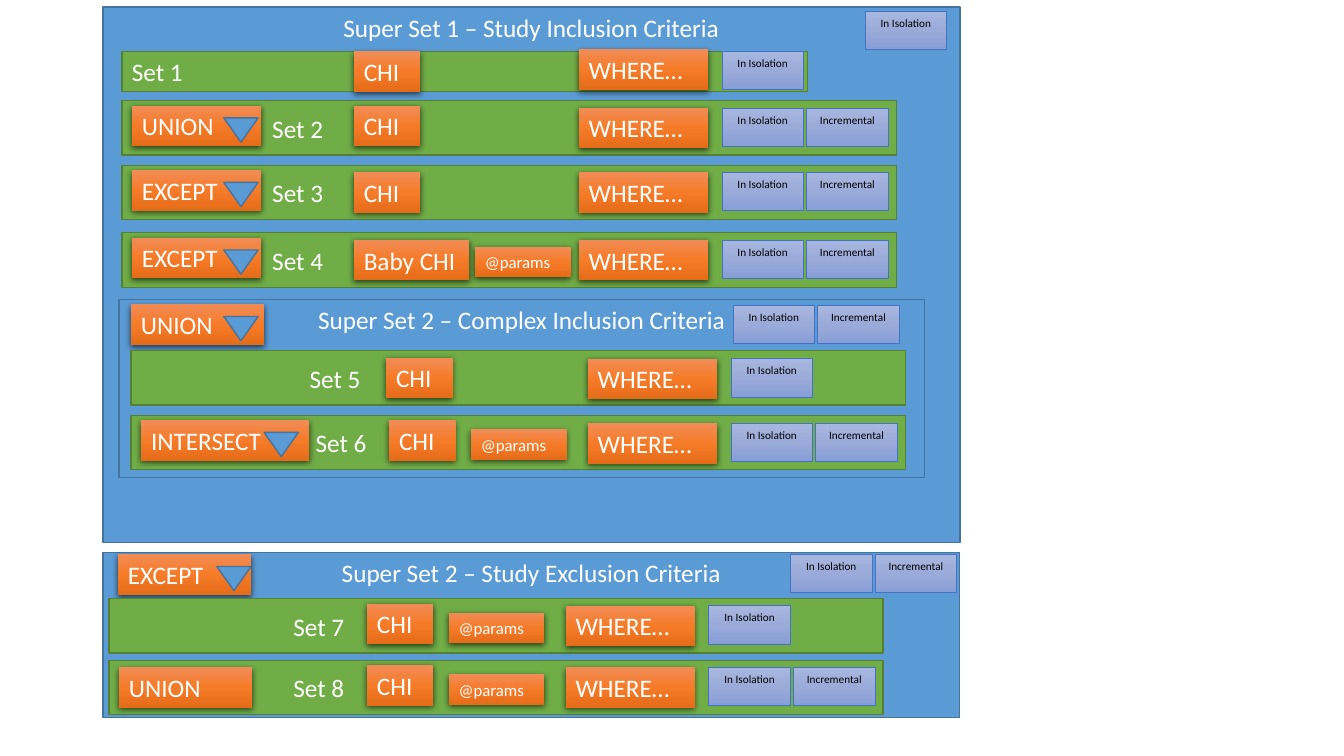
from copy import deepcopy
from dataclasses import dataclass

from lxml.etree import SubElement
from pptx import Presentation
from pptx.dml.color import RGBColor
from pptx.enum.shapes import MSO_SHAPE
from pptx.enum.text import MSO_ANCHOR, MSO_AUTO_SIZE, PP_ALIGN
from pptx.oxml.ns import qn
from pptx.util import Inches, Pt


@dataclass(frozen=True)
class Theme:
    font: str = "Calibri"
    body: int = 18
    param: int = 12
    small: int = 8
    white: str = "FFFFFF"
    black: str = "000000"
    blue: str = "5B9BD5"
    blue_line: str = "43739E"
    green: str = "70AD47"
    green_line: str = "538035"
    button_line: str = "4472C4"
    orange_stops: tuple = ("F18C57", "F67B28", "E56C19")
    button_stops: tuple = ("A8B7DF", "9AABD9", "889ED7")


@dataclass
class SetRow:
    name: str
    x: float
    y: float
    indent: float              # left inset of the set name
    op: str = ""
    op_w: float = 1.28
    op_dy: float = 0.05
    arrow: float = 0.91        # offset of the drop-down arrow, 0 for none
    source: str = "CHI"
    source_w: float = 0.66
    source_dx: float = 2.56
    source_dy: float = 0.05
    params_dx: float = 0       # 0 for no parameters
    where_dy: float = 0.07
    button_dy: float = 0.07
    incremental: bool = True
    w: float = 7.68
    h: float = 0.54


class SlideBuilder:
    def __init__(self, prs, theme):
        self.t = theme
        self.s = prs.slides.add_slide(prs.slide_layouts[5])

    # Shared formatting
    def shape(self, kind, x, y, w, h):
        sp = self.s.shapes.add_shape(kind, Inches(x), Inches(y), Inches(w), Inches(h))
        sp.shadow.inherit = False
        return sp

    def paint(self, sp, fill, line, width=1):
        if isinstance(fill, str):
            sp.fill.solid()
            sp.fill.fore_color.rgb = RGBColor.from_string(fill)
        else:
            sp.fill.gradient()
            sp.fill.gradient_angle = 270
            stops = sp._element.spPr.find(qn("a:gradFill")).find(qn("a:gsLst"))
            middle = deepcopy(stops[0])
            middle.set("pos", "50000")
            stops.insert(1, middle)
            for stop, color in zip(sp.fill.gradient_stops, fill):
                stop.color.rgb = RGBColor.from_string(color)
        if line:
            sp.line.color.rgb = RGBColor.from_string(line)
            sp.line.width = Pt(width)
        else:
            sp.line.fill.background()

    def label(self, sp, text, size, color, align=PP_ALIGN.LEFT, anchor=MSO_ANCHOR.TOP):
        tf = sp.text_frame
        tf.text = text
        tf.word_wrap = True
        tf.auto_size = MSO_AUTO_SIZE.NONE
        tf.vertical_anchor = anchor
        p = tf.paragraphs[0]
        p.alignment = align
        p.line_spacing = 1.0
        p.space_before = Pt(0)
        r = p.runs[0]
        r.font.name = self.t.font
        r.font.size = Pt(size)
        r.font.color.rgb = RGBColor.from_string(color)
        return tf

    # Elements
    def panel(self, text, x, y, w, h, is_title=False):
        if is_title:
            sp = self.s.shapes.title
            sp.left, sp.top, sp.width, sp.height = map(Inches, (x, y, w, h))
        else:
            sp = self.shape(MSO_SHAPE.RECTANGLE, x, y, w, h)
        self.paint(sp, self.t.blue, self.t.blue_line)
        self.label(sp, text, self.t.body, self.t.white, PP_ALIGN.CENTER)

    def chip(self, text, x, y, w, h=0.4, size=None):
        sp = self.shape(MSO_SHAPE.RECTANGLE, x, y, w, h)
        self.paint(sp, self.t.orange_stops, None)
        tf = self.label(sp, text, size or self.t.body, self.t.white)
        tf.auto_size = MSO_AUTO_SIZE.SHAPE_TO_FIT_TEXT
        effects = sp._element.spPr.find(qn("a:effectLst"))
        shadow = SubElement(effects, qn("a:outerShdw"), blurRad=str(Pt(4.5)),
                            dist=str(Pt(1.5)), dir="5400000", algn="ctr", rotWithShape="0")
        color = SubElement(shadow, qn("a:srgbClr"), val=self.t.black)
        SubElement(color, qn("a:alpha"), val="63000")

    def operator(self, text, x, y, w=1.32, arrow=0.92):
        self.chip(text, x, y, w)
        if arrow:
            sp = self.shape(MSO_SHAPE.ISOSCELES_TRIANGLE, x + arrow, y + 0.12, 0.34, 0.24)
            sp.rotation = 180
            self.paint(sp, self.t.blue, self.t.blue_line)

    def buttons(self, x, y, incremental=True):
        captions = ["In Isolation", "Incremental"] if incremental else ["In Isolation"]
        for i, caption in enumerate(captions):
            sp = self.shape(MSO_SHAPE.RECTANGLE, x + 0.84 * i, y, 0.81, 0.38)
            self.paint(sp, self.t.button_stops, self.t.button_line, 0.5)
            self.label(sp, caption, self.t.small, self.t.black, PP_ALIGN.CENTER)

    def set_row(self, row):
        sp = self.shape(MSO_SHAPE.RECTANGLE, row.x, row.y, row.w, row.h)
        self.paint(sp, self.t.green, self.t.green_line)
        tf = self.label(sp, row.name, self.t.body, self.t.white, anchor=MSO_ANCHOR.MIDDLE)
        tf.margin_left = Inches(row.indent)
        self.buttons(row.x + 5.95, row.y + row.button_dy, row.incremental)
        if row.op:
            self.operator(row.op, row.x + 0.1, row.y + row.op_dy, row.op_w, row.arrow)
        self.chip("WHERE…", row.x + 4.53, row.y + row.where_dy, 1.28)
        self.chip(row.source, row.x + row.source_dx, row.y + row.source_dy, row.source_w)
        if row.params_dx:
            self.chip("@params", row.x + row.params_dx, row.y + 0.14, 0.95, 0.3, self.t.param)


def main():
    prs = Presentation()
    prs.slide_width, prs.slide_height = Inches(13.33), Inches(7.5)
    b = SlideBuilder(prs, Theme())

    # Inclusion criteria
    b.panel("Super Set 1 – Study Inclusion Criteria", 1.02, 0.07, 8.5, 5.31, is_title=True)
    b.buttons(8.58, 0.11, incremental=False)
    for row in (
        SetRow("Set 1", 1.21, 0.51, 0.1, source_dx=2.3, source_dy=0, where_dy=-0.02,
               button_dy=0, incremental=False, w=6.8, h=0.4),
        SetRow("Set 2", 1.21, 1.0, 1.49, "UNION", source_dx=2.3),
        SetRow("Set 3", 1.21, 1.64, 1.49, "EXCEPT", source_dx=2.3, source_dy=0.07),
        SetRow("Set 4", 1.21, 2.31, 1.49, "EXCEPT", source="Baby CHI", source_w=1.14,
               source_dx=2.3, source_dy=0.07, params_dx=3.5),
    ):
        b.set_row(row)

    # Nested complex criteria
    b.panel("Super Set 2 – Complex Inclusion Criteria", 1.18, 2.97, 7.99, 1.77)
    b.operator("UNION", 1.3, 3.02)
    b.buttons(7.27, 3.03)
    b.set_row(SetRow("Set 5", 1.3, 3.48, 1.77, source_dx=2.53, source_dy=0.07,
                     where_dy=0.08, button_dy=0.08, incremental=False))
    b.set_row(SetRow("Set 6", 1.3, 4.12, 1.83, "INTERSECT", op_w=1.67, arrow=1.22,
                     params_dx=3.37, where_dy=0.08, button_dy=0.08))

    # Exclusion criteria
    b.panel("Super Set 2 – Study Exclusion Criteria", 1.02, 5.48, 8.5, 1.64)
    b.operator("EXCEPT", 1.17, 5.5, arrow=0.98)
    b.buttons(7.84, 5.5)
    b.set_row(SetRow("Set 7", 1.08, 5.94, 1.83, params_dx=3.37, incremental=False))
    b.set_row(SetRow("Set 8", 1.08, 6.55, 1.83, "UNION", op_w=1.32, op_dy=0.07, arrow=0,
                     params_dx=3.37))

    prs.save("out.pptx")


if __name__ == "__main__":
    main()
